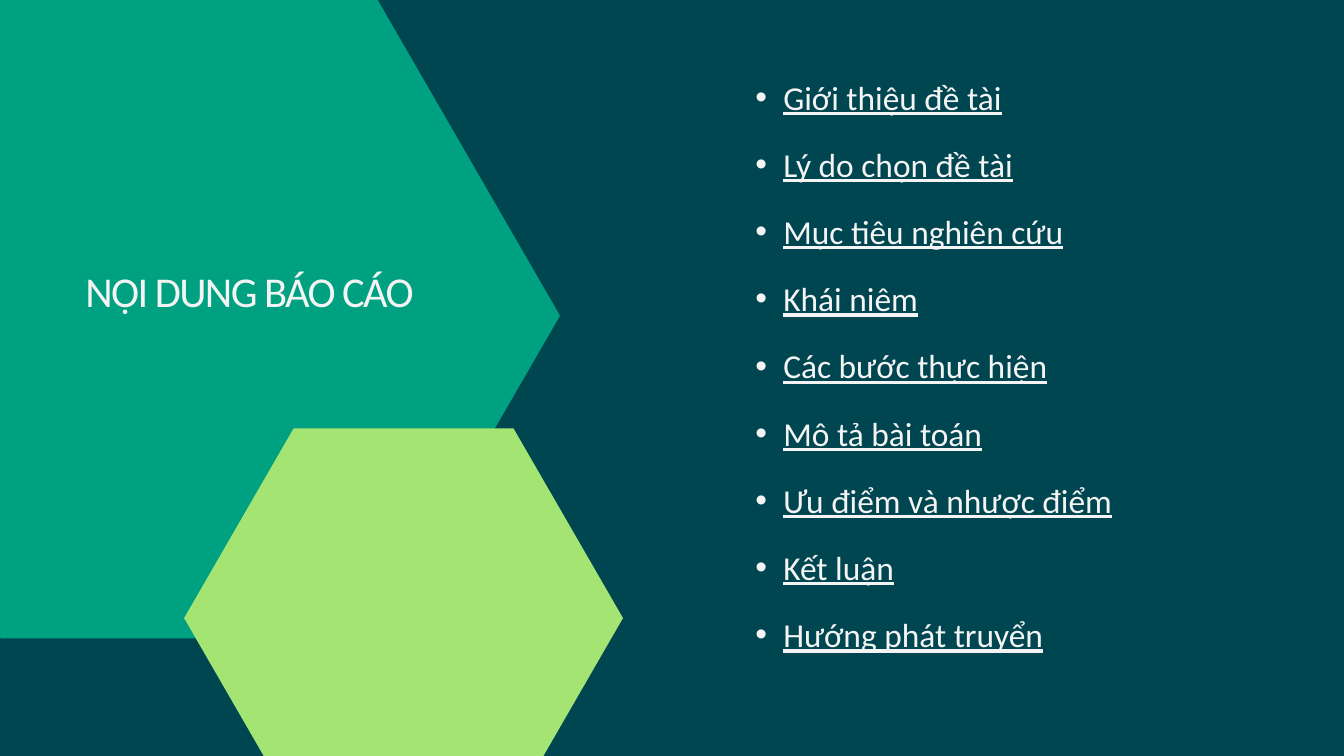
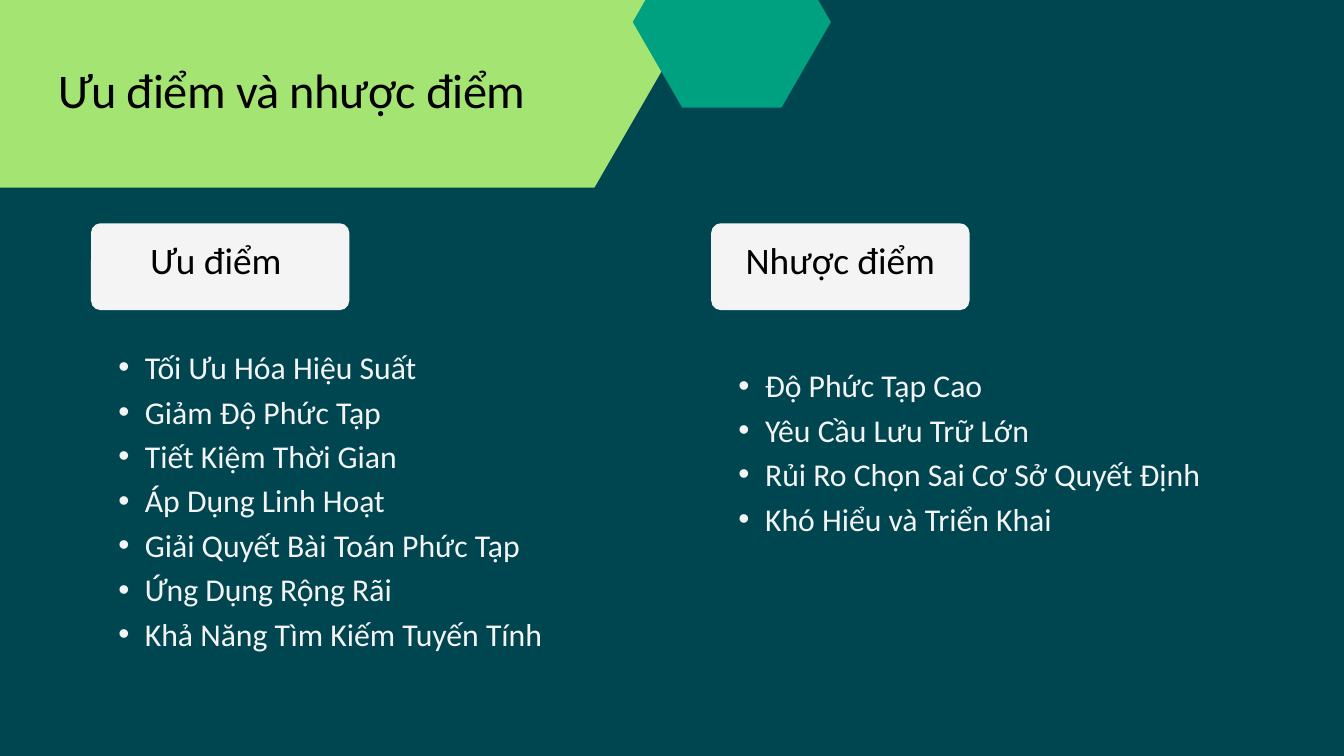
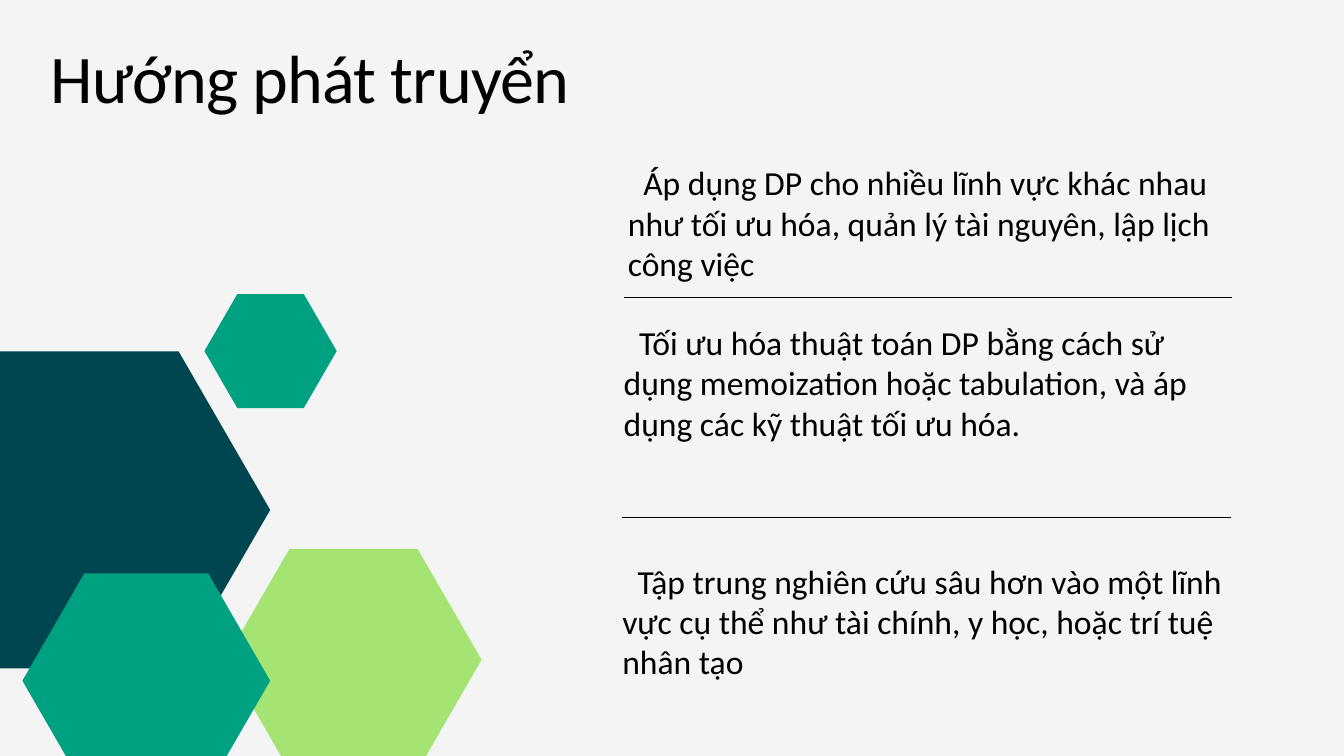
from lxml import etree
from pptx import Presentation
from pptx import util as u
from pptx.dml.color import RGBColor
from pptx.enum import shapes, text
from pptx.oxml import ns

PX = 9525
FONT = "Calibri"
COLORS = {
    "petrol": "004651",
    "green": "00A181",
    "lime": "A4E473",
    "pale": "F4F4F4",
    "black": "000000",
}
HEX_SLANT = 0.2887
LABEL_ROUNDING = 0.11

AGENDA = [
    "Giới thiệu đề tài",
    "Lý do chọn đề tài",
    "Mục tiêu nghiên cứu",
    "Khái niệm",
    "Các bước thực hiện",
    "Mô tả bài toán",
    "Ưu điểm và nhược điểm",
    "Kết luận",
    "Hướng phát truyển",
]
PROS = [
    "Tối Ưu Hóa Hiệu Suất",
    "Giảm Độ Phức Tạp",
    "Tiết Kiệm Thời Gian",
    "Áp Dụng Linh Hoạt",
    "Giải Quyết Bài Toán Phức Tạp",
    "Ứng Dụng Rộng Rãi",
    "Khả Năng Tìm Kiếm Tuyến Tính",
]
CONS = [
    "Độ Phức Tạp Cao",
    "Yêu Cầu Lưu Trữ Lớn",
    "Rủi Ro Chọn Sai Cơ Sở Quyết Định",
    "Khó Hiểu và Triển Khai",
]
DIRECTIONS = [
    ((897, 232, 869, 170),
     "Áp dụng DP cho nhiều lĩnh vực khác nhau như tối ưu hóa, "
     "quản lý tài nguyên, lập lịch công việc"),
    ((891, 460, 869, 284),
     "Tối ưu hóa thuật toán DP bằng cách sử dụng memoization hoặc tabulation, "
     "và áp dụng các kỹ thuật tối ưu hóa."),
    ((889, 801, 869, 170),
     "Tập trung nghiên cứu sâu hơn vào một lĩnh vực cụ thể như tài chính, "
     "y học, hoặc trí tuệ nhân tạo"),
]


def px(*values):
    return [u.Emu(v * PX) for v in values]


def rgb(name):
    return RGBColor.from_string(COLORS[name])


def new_slide(prs, background):
    s = prs.slides.add_slide(prs.slide_layouts[5])
    fill = s.background.fill
    fill.solid()
    fill.fore_color.rgb = rgb(background)
    return s


def set_frame(tf, insets=(0, 0, 0, 0), anchor=text.MSO_ANCHOR.TOP):
    tf.word_wrap = True
    tf.auto_size = text.MSO_AUTO_SIZE.NONE
    tf.vertical_anchor = anchor
    tf.margin_left, tf.margin_top, tf.margin_right, tf.margin_bottom = px(*insets)


def write(p, words, size, spacing, color, align=text.PP_ALIGN.LEFT, underline=None):
    p.alignment = align
    p.line_spacing = u.Pt(spacing)
    r = p.add_run()
    r.text = words
    r.font.name = FONT
    r.font.size = u.Pt(size)
    r.font.color.rgb = rgb(color)
    r.font.underline = underline
    return r


def set_indent(p, left, first):
    pPr = p._p.get_or_add_pPr()
    pPr.set("marL", str(left * PX))
    pPr.set("indent", str(first * PX))
    return pPr


def add_bullet(p, left, hang):
    pPr = set_indent(p, left, -hang)
    etree.SubElement(pPr, ns.qn("a:buFont"), typeface="Arial")
    etree.SubElement(pPr, ns.qn("a:buChar"), char="•")


def place_title(s, words, box, size, spacing, color, tracking):
    sp = s.shapes.title
    sp.left, sp.top, sp.width, sp.height = px(*box)
    set_frame(sp.text_frame)
    r = write(sp.text_frame.paragraphs[0], words, size, spacing, color)
    r._r.get_or_add_rPr().set("spc", str(tracking))
    sp.element.getparent().append(sp.element)


def add_solid(s, kind, box, color, adjustment):
    sp = s.shapes.add_shape(kind, *px(*box))
    sp.shadow.inherit = False
    sp.adjustments[0] = adjustment
    sp.fill.solid()
    sp.fill.fore_color.rgb = rgb(color)
    sp.line.fill.background()
    return sp


def add_hexagon(s, box, color):
    add_solid(s, shapes.MSO_SHAPE.HEXAGON, box, color, HEX_SLANT)


def add_label(s, words, x):
    sp = add_solid(s, shapes.MSO_SHAPE.ROUNDED_RECTANGLE, (x, 319, 369, 124),
                   "pale", LABEL_ROUNDING)
    set_frame(sp.text_frame, (27, 1, 27, 27), text.MSO_ANCHOR.MIDDLE)
    write(sp.text_frame.paragraphs[0], words, 40, 52, "black", text.PP_ALIGN.CENTER)


def add_text_box(s, box):
    tf = s.shapes.add_textbox(*px(*box)).text_frame
    set_frame(tf)
    return tf


def add_bullets(s, items, box, size, spacing, left, hang, underline=None):
    tf = add_text_box(s, box)
    for i, item in enumerate(items):
        p = tf.add_paragraph() if i else tf.paragraphs[0]
        write(p, item, size, spacing, "pale", underline=underline)
        add_bullet(p, left, hang)


def add_direction(s, words, box):
    p = add_text_box(s, box).paragraphs[0]
    write(p, words, 36, 43.2, "black")
    set_indent(p, 0, 22)


def add_divider(s, x, y):
    line = s.shapes.add_connector(shapes.MSO_CONNECTOR.STRAIGHT, *px(x, y, x + 869, y))
    line.line.color.rgb = rgb("black")
    line.line.width = u.Pt(0.75)
    etree.SubElement(line.element.spPr, ns.qn("a:effectLst"))


def build_agenda(prs):
    s = new_slide(prs, "petrol")
    add_hexagon(s, (-265, -10, 1065, 922), "green")
    add_hexagon(s, (263, 612, 627, 542), "lime")
    place_title(s, "NỘI DUNG BÁO CÁO", (122, 379, 819, 72), 45.5, 54.6, "pale", -170)
    for i, item in enumerate(AGENDA):
        add_bullets(s, [item], (1038, 100 + 96 * i, 819, 65), 35.8, 50.1, 81, 40, True)


def build_pros_and_cons(prs):
    s = new_slide(prs, "petrol")
    add_hexagon(s, (-306, -386, 1344, 654), "lime")
    add_hexagon(s, (904, -91, 283, 245), "green")
    place_title(s, "Ưu điểm và nhược điểm", (84, 79, 814, 87), 51.8, 67.3, "black", -50)
    add_label(s, "Ưu điểm ", 130)
    add_bullets(s, PROS, (130, 488, 800, 501), 34, 47.6, 77, 38)
    add_label(s, "Nhược điểm", 1016)
    add_bullets(s, CONS, (1016, 514, 842, 312), 34, 47.6, 77, 38)


def build_directions(prs):
    s = new_slide(prs, "pale")
    place_title(s, "Hướng phát truyển", (72, 50, 1061, 116), 73, 87.6, "black", -70)
    add_hexagon(s, (-137, 502, 523, 453), "petrol")
    add_hexagon(s, (322, 784, 366, 317), "lime")
    add_hexagon(s, (292, 420, 189, 163), "green")
    add_hexagon(s, (32, 819, 354, 307), "green")
    for box, words in DIRECTIONS:
        add_direction(s, words, box)
    add_divider(s, 891, 425)
    add_divider(s, 889, 739)


def main():
    prs = Presentation()
    prs.slide_width, prs.slide_height = px(1920, 1080)
    build_agenda(prs)
    build_pros_and_cons(prs)
    build_directions(prs)
    prs.save("out.pptx")


if __name__ == "__main__":
    main()
